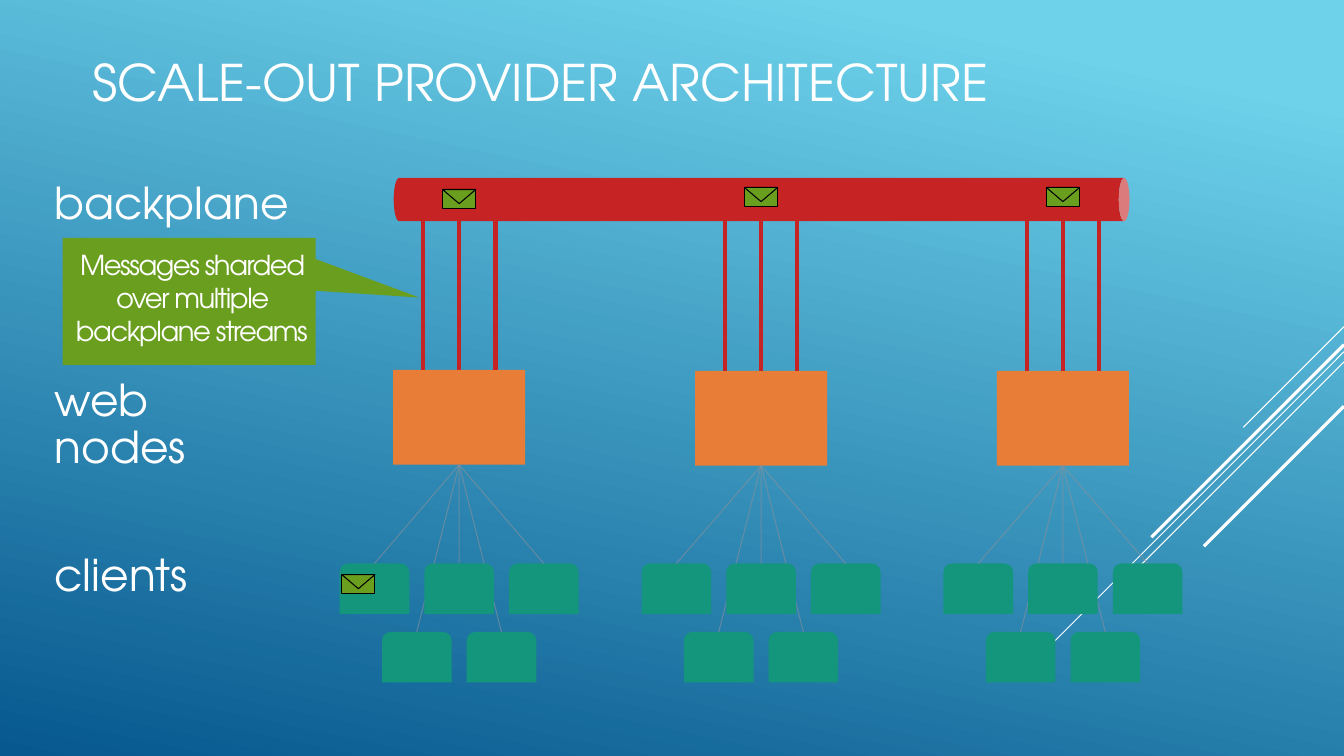
"""Build the scale-out provider architecture slide on a grid of tenth-inch cells."""

from dataclasses import dataclass

from lxml.etree import SubElement
from pptx import Presentation
from pptx.dml.color import RGBColor
from pptx.enum.shapes import MSO_CONNECTOR, MSO_SHAPE
from pptx.enum.text import MSO_ANCHOR, PP_ALIGN
from pptx.oxml.ns import qn
from pptx.shapes.autoshape import Shape
from pptx.shapes.connector import Connector
from pptx.slide import Slide
from pptx.text.text import TextFrame
from pptx.util import Inches, Pt

RECT = MSO_SHAPE.RECTANGLE
ROUND = MSO_SHAPE.ROUND_2_SAME_RECTANGLE
CAN = MSO_SHAPE.CAN
FLAP = MSO_SHAPE.ISOSCELES_TRIANGLE
CALLOUT = MSO_SHAPE.RECTANGULAR_CALLOUT
LINE = MSO_CONNECTOR.STRAIGHT
LEFT, CENTER = PP_ALIGN.LEFT, PP_ALIGN.CENTER
TOP, MIDDLE = MSO_ANCHOR.TOP, MSO_ANCHOR.MIDDLE
COLS, ROWS = 133.33, 75


@dataclass(frozen=True)
class Theme:
    """Hold the colours, font and type sizes."""

    font: str = "TeX Gyre Adventor"
    sky: str = "6ED2EB"
    deep: str = "06588E"
    white: str = "FFFFFF"
    black: str = "000000"
    red: str = "C62324"
    orange: str = "E87D37"
    teal: str = "14967C"
    green: str = "6A9E1F"
    gray: str = "89919C"
    title: float = 36
    label: float = 31.4
    note: float = 19.6


@dataclass(frozen=True)
class Box:
    """Place an area in columns and rows."""

    col: float
    row: float
    wide: float
    high: float


@dataclass(frozen=True)
class Ray:
    """Describe a diagonal that starts on the right edge."""

    row: float
    span: float
    weight: float


@dataclass(frozen=True)
class Group:
    """Describe a web node with its message and clients."""

    mid: float
    node: float
    mail: float


@dataclass(frozen=True)
class Label:
    """Name a layer of the diagram."""

    text: str
    row: float
    wide: float
    high: float


THEME = Theme()
RAYS = (Ray(32.4, 10, 0.75), Ray(34.9, 32.6, 0.75), Ray(35.9, 20.7, 0.75),
        Ray(34.2, 19.1, 2.25), Ray(40.3, 13.9, 2.25))
FIRST, PITCH = 45.55, 29.95
GROUPS = [Group(FIRST + PITCH * i, node, mail)
          for i, (node, mail) in enumerate(((36.7, 18.8), (36.8, 18.6), (36.8, 18.6)))]
LABELS = (Label("web nodes", 37.5, 23.2, 9.5), Label("clients", 54.9, 23.2, 4.8),
          Label("backplane", 18, 25, 4.8))
STEP, UPPER, LOWER = 8.4, 55.9, 62.7
SEATS = ((-STEP, UPPER), (STEP, UPPER), (-STEP / 2, LOWER), (STEP / 2, LOWER))
STREAM, PIPE = 3.6, 21.9


def cell(count: float) -> int:
    """Turn a count of cells into a length."""
    return Inches(count / 10)


def spot(box: Box) -> tuple[int, int, int, int]:
    """Turn a box into slide lengths."""
    return cell(box.col), cell(box.row), cell(box.wide), cell(box.high)


def block(slide: Slide, kind: int, box: Box, fill: str, edge: str = "",
          turn: float = 0) -> Shape:
    """Draw a filled shape, outlined when an edge colour is given."""
    shape = slide.shapes.add_shape(kind, *spot(box))
    shape.shadow.inherit = False
    shape.rotation = turn
    shape.fill.solid()
    shape.fill.fore_color.rgb = RGBColor.from_string(fill)
    if edge:
        shape.line.color.rgb = RGBColor.from_string(edge)
        shape.line.width = Pt(0.75)
    else:
        shape.line.fill.background()
    return shape


def wire(slide: Slide, start: tuple[float, float], end: tuple[float, float],
         color: str, weight: float, alpha: int = 100) -> Connector:
    """Draw a straight line between two grid points."""
    link = slide.shapes.add_connector(LINE, *map(cell, start + end))
    link.line.color.rgb = RGBColor.from_string(color)
    link.line.width = Pt(weight)
    props = link._element.spPr
    if alpha < 100:
        for tone in props.iter(qn("a:srgbClr")):
            SubElement(tone, qn("a:alpha")).set("val", str(alpha * 1000))
    SubElement(props, qn("a:effectLst"))
    return link


def write(frame: TextFrame, text: str, *, size: float, align: int = LEFT,
          anchor: int = TOP, pads: tuple[float, ...] = (0, 0, 0, 0),
          lead: float = 1, track: int = 0) -> None:
    """Put formatted text in a frame, with pads as left, top, right, bottom."""
    frame.word_wrap = True
    frame.vertical_anchor = anchor
    frame.margin_left, frame.margin_top, frame.margin_right, frame.margin_bottom = map(cell, pads)
    para = frame.paragraphs[0]
    para.alignment = align
    para.line_spacing = lead
    run = para.add_run()
    run.text = text
    run.font.name = THEME.font
    run.font.size = Pt(size)
    run.font.color.rgb = RGBColor.from_string(THEME.white)
    if track:
        run.font._element.set("spc", str(track))


def paint(slide: Slide) -> None:
    """Fill the backdrop and draw its diagonals."""
    fill = slide.background.fill
    fill.gradient()
    fill.gradient_angle = 258
    for stop, place, color in zip(fill.gradient_stops, (0.1, 1), (THEME.sky, THEME.deep)):
        stop.position = place
        stop.color.rgb = RGBColor.from_string(color)
    for ray in RAYS:
        wire(slide, (COLS, ray.row), (COLS - ray.span, ray.row + ray.span),
             THEME.white, ray.weight)


def client(slide: Slide, mid: float, row: float) -> None:
    """Draw a client below its node."""
    block(slide, ROUND, Box(mid - 3.45, row, 6.9, 5), THEME.teal)


def letter(slide: Slide, col: float, row: float) -> None:
    """Draw an envelope."""
    block(slide, RECT, Box(col, row, 3.3, 1.9), THEME.green, THEME.black)
    block(slide, FLAP, Box(col, row, 3.3, 1.4), THEME.green, THEME.black, 180)


def branch(slide: Slide, group: Group) -> None:
    """Draw a node with its streams, clients and message."""
    mid, base = group.mid, group.node + 9.4
    node = block(slide, RECT, Box(mid - 6.55, group.node, 13.1, 9.4), THEME.orange)
    for shift, row in SEATS:
        client(slide, mid + shift, row)
    for shift, row in SEATS + ((0, UPPER),):
        link = wire(slide, (mid + shift, row), (mid, base), THEME.gray, 0.75, 60)
        link.end_connect(node, 2)
    client(slide, mid, UPPER)
    for shift in (-STREAM, 0, STREAM):
        link = wire(slide, (mid + shift, group.node), (mid + shift, PIPE), THEME.red, 3)
        if not shift:
            link.begin_connect(node, 0)
    letter(slide, mid - 1.65, group.mail)


def main() -> None:
    """Assemble and save the slide."""
    deck = Presentation()
    deck.slide_width, deck.slide_height = cell(COLS), cell(ROWS)
    slide = deck.slides.add_slide(deck.slide_layouts[6])
    paint(slide)
    title = slide.shapes.add_textbox(*spot(Box(7.2, -0.2, 93.3, 16.5)))
    write(title.text_frame, "SCALE-OUT PROVIDER ARCHITECTURE", size=THEME.title,
          anchor=MIDDLE, pads=(2, 1.6, 2, 1.6))
    block(slide, CAN, Box(73.4, -16.7, 4.3, 73), THEME.red, turn=90)
    for group in GROUPS:
        branch(slide, group)
    letter(slide, 33.9, 57)
    for label in LABELS:
        area = slide.shapes.add_textbox(*spot(Box(5.4, label.row, label.wide, label.high)))
        write(area.text_frame, label.text, size=THEME.label, lead=0.9)
    note = block(slide, CALLOUT, Box(6.2, 23.6, 25.1, 12.6), THEME.green)
    note.adjustments[0], note.adjustments[1] = 0.91, -0.03
    write(note.text_frame, "Messages sharded over multiple backplane streams",
          size=THEME.note, align=CENTER, pads=(1, 1, 0.4, 0.4), track=-100)
    deck.save("out.pptx")


if __name__ == "__main__":
    main()
